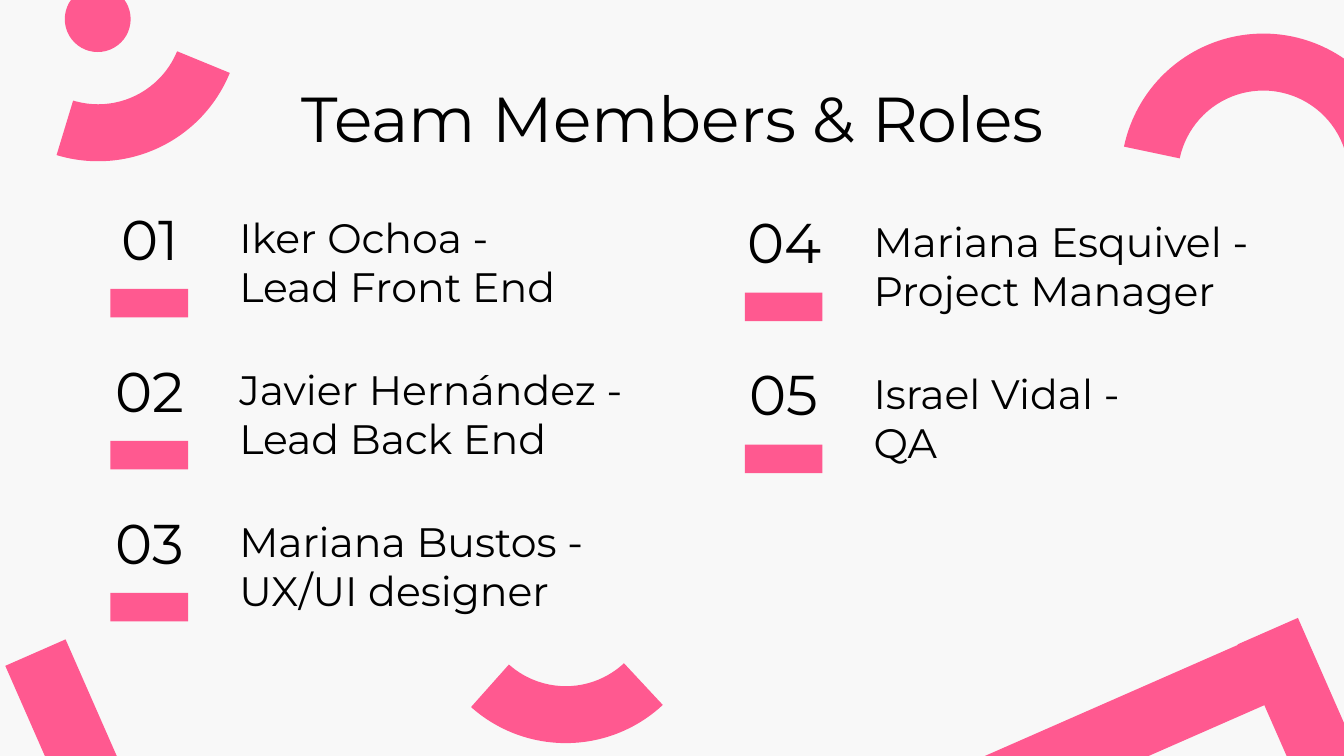
from pptx import Presentation
from pptx.dml.color import RGBColor
from pptx.enum.shapes import MSO_SHAPE
from pptx.enum.text import MSO_ANCHOR, PP_ALIGN
from pptx.util import Pt

PINK = RGBColor(0xFF, 0x59, 0x90)
BLACK = RGBColor(0, 0, 0)
PAPER = RGBColor(0xF8, 0xF8, 0xF8)

TOP, PITCH = 102.2, 81.4          # first row, row step
LEFT, STEP, DROP = 38.9, 339.8, 2  # first column, column step, its fall
ROWS = 3
ARC = 152.6

# lines of text, width of its box
TEAM = [
    (["Iker Ochoa - Lead Front End"], 195),
    (["Javier Hernández -", "Lead Back End"], 242),
    (["Mariana Bustos -", "UX/UI designer"], 242),
    (["Mariana Esquivel -", "Project Manager"], 242),
    (["Israel Vidal -", "QA"], 195),
]


def write(frame, lines, size=22, font="Montserrat", color=BLACK,
          align=PP_ALIGN.LEFT):
    for i, line in enumerate(lines):
        para = frame.paragraphs[0] if i == 0 else frame.add_paragraph()
        para.alignment = align
        run = para.add_run()
        run.text = line
        run.font.size = Pt(size)
        run.font.name = font
        run.font.color.rgb = color


class Deck:
    def __init__(self, wide, high):
        self.file = Presentation()
        self.file.slide_width, self.file.slide_height = Pt(wide), Pt(high)
        self.slide = self.file.slides.add_slide(self.file.slide_layouts[6])
        fill = self.slide.background.fill
        fill.solid()
        fill.fore_color.rgb = PAPER

    def shape(self, kind, x, y, w, h, turn=0):
        shape = self.slide.shapes.add_shape(kind, Pt(x), Pt(y), Pt(w), Pt(h))
        shape.rotation = turn
        shape.shadow.inherit = False
        shape.fill.solid()
        shape.fill.fore_color.rgb = PINK
        shape.line.fill.background()
        return shape

    def bar(self, x, y, w, h, turn=0):
        self.shape(MSO_SHAPE.RECTANGLE, x, y, w, h, turn)

    def dot(self, x, y, size):
        self.shape(MSO_SHAPE.OVAL, x, y, size, size)

    def arc(self, x, y, turn, start, end):
        """Draw a thick arc; start and end are in units of 5/3 degree."""
        shape = self.shape(MSO_SHAPE.BLOCK_ARC, x, y, ARC, ARC, turn)
        for i, value in enumerate((start, end, 0.2)):
            shape.adjustments[i] = value

    def text(self, lines, x, y, w, h, **style):
        box = self.slide.shapes.add_textbox(Pt(x), Pt(y), Pt(w), Pt(h))
        frame = box.text_frame
        frame.word_wrap = True
        frame.vertical_anchor = MSO_ANCHOR.TOP
        frame.margin_left = frame.margin_right = Pt(7.2)
        frame.margin_top = frame.margin_bottom = Pt(7.2)
        write(frame, lines, **style)

    def member(self, index, lines, width):
        col, row = divmod(index, ROWS)
        x = LEFT + col * STEP
        y = TOP + row * PITCH + col * DROP
        self.text([f"{index + 1:02}"], x, y, 82.8, 49.7,
                  size=30, align=PP_ALIGN.CENTER)
        self.text(lines, x + 82.2, y + 4.5, width, 65.5)
        self.bar(x + 20.3, y + 52.6, 41.6, 15.3)


def main():
    deck = Deck(720, 405)
    deck.dot(34.7, -7.4, 35.3)
    deck.bar(593.3, 288, 35.3, 199.4, 66.3)
    deck.bar(684, 333.4, 35.3, 111.6, 336.3)
    deck.bar(23.8, 344.9, 35.3, 111.6, 336.3)
    deck.arc(226.8, 245.5, 229, 106.83, 157.61)
    deck.arc(600.5, 18, 11.9, 108, 1.17)
    deck.arc(-23.8, -66.2, 105, 166.39, 1.17)
    deck.text(["Team Members & Roles"], 56.9, 35.3, 607, 45.4,
              size=34, align=PP_ALIGN.CENTER)
    for index, (lines, width) in enumerate(TEAM):
        deck.member(index, lines, width)
    deck.file.save("out.pptx")


if __name__ == "__main__":
    main()
